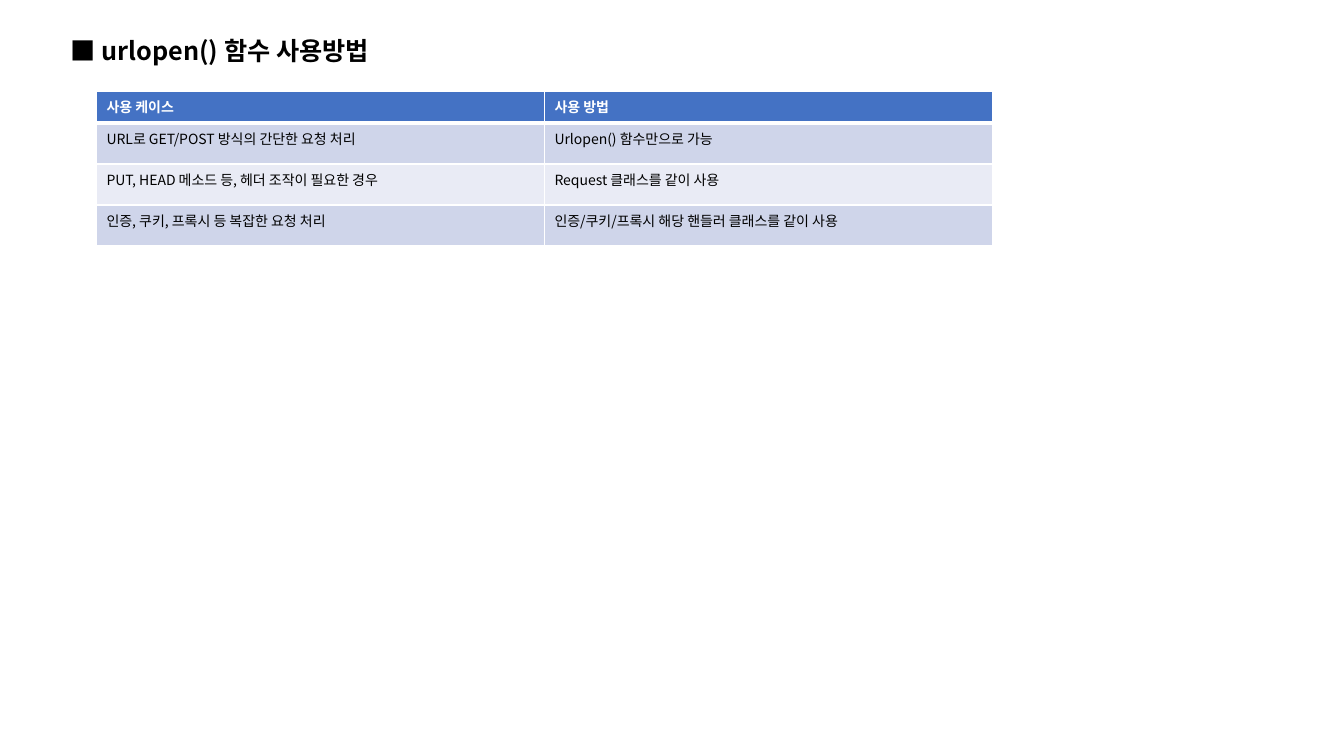
from lxml.etree import SubElement
from pptx import Presentation
from pptx.dml.color import RGBColor
from pptx.enum.text import MSO_ANCHOR as Anchor, MSO_AUTO_SIZE as AutoSize, PP_ALIGN as Align
from pptx.oxml.ns import qn
from pptx.util import Pt

WHITE = RGBColor(0xFF, 0xFF, 0xFF)
BLACK = RGBColor(0x00, 0x00, 0x00)
HEADER_BLUE = RGBColor(0x44, 0x72, 0xC4)
BAND_DARK = RGBColor(0xCF, 0xD5, 0xEA)
BAND_LIGHT = RGBColor(0xE9, 0xEB, 0xF5)
FONT = "Noto Sans CJK KR"

USE_CASES = [
    ("사용 케이스", "사용 방법"),
    ("URL로 GET/POST 방식의 간단한 요청 처리", "Urlopen() 함수만으로 가능"),
    ("PUT, HEAD 메소드 등, 헤더 조작이 필요한 경우", "Request 클래스를 같이 사용"),
    ("인증, 쿠키, 프록시 등 복잡한 요청 처리", "인증/쿠키/프록시 해당 핸들러 클래스를 같이 사용"),
]


def format_text(frame, size, color, bold):
    for para in frame.paragraphs:
        para.alignment = Align.LEFT
        for span in para.runs:
            font = span.font
            font.size, font.bold, font.name = Pt(size), bold, FONT
            font.color.rgb = color
            SubElement(span._r.get_or_add_rPr(), qn("a:ea"), typeface=FONT)


def set_borders(cell, widths):
    properties = cell._tc.get_or_add_tcPr()
    for side, width in zip("LRTB", widths):
        line = SubElement(properties, qn(f"a:ln{side}"), w=str(Pt(width)))
        fill = SubElement(line, qn("a:solidFill"))
        SubElement(fill, qn("a:srgbClr"), val=str(WHITE))


def add_title(page, left, top, width, height):
    title = page.shapes.title
    title.left, title.top, title.width, title.height = map(Pt, (left, top, width, height))
    frame = title.text_frame
    frame.text = "■ urlopen() 함수 사용방법"
    frame.word_wrap = True
    frame.auto_size = AutoSize.SHAPE_TO_FIT_TEXT
    frame.vertical_anchor = Anchor.TOP
    format_text(frame, 18, BLACK, True)


def add_use_case_table(page, left, top, width, height):
    header_height = 22.3
    row_height = (height - header_height) / (len(USE_CASES) - 1)
    box = map(Pt, (left, top, width, height))
    table = page.shapes.add_table(len(USE_CASES), 2, *box).table
    for column in table.columns:
        column.width = Pt(width / 2)
    for index, texts in enumerate(USE_CASES):
        is_header = index == 0
        table.rows[index].height = Pt(header_height if is_header else row_height)
        band = BAND_DARK if index % 2 else BAND_LIGHT
        for cell, text in zip(table.rows[index].cells, texts):
            cell.text_frame.text = text
            format_text(cell.text_frame, 10, WHITE if is_header else BLACK, is_header)
            set_borders(cell, (1, 1, 3 if index == 1 else 1, 3 if is_header else 1))
            cell.fill.solid()
            cell.fill.fore_color.rgb = HEADER_BLUE if is_header else band


def main():
    deck = Presentation()
    deck.slide_width, deck.slide_height = Pt(960), Pt(540)
    page = deck.slides.add_slide(deck.slide_layouts[5])
    add_use_case_table(page, 68.9, 65.6, 640, 110.2)
    add_title(page, 43.2, 21.6, 295.2, 29)
    deck.save("out.pptx")


if __name__ == "__main__":
    main()
